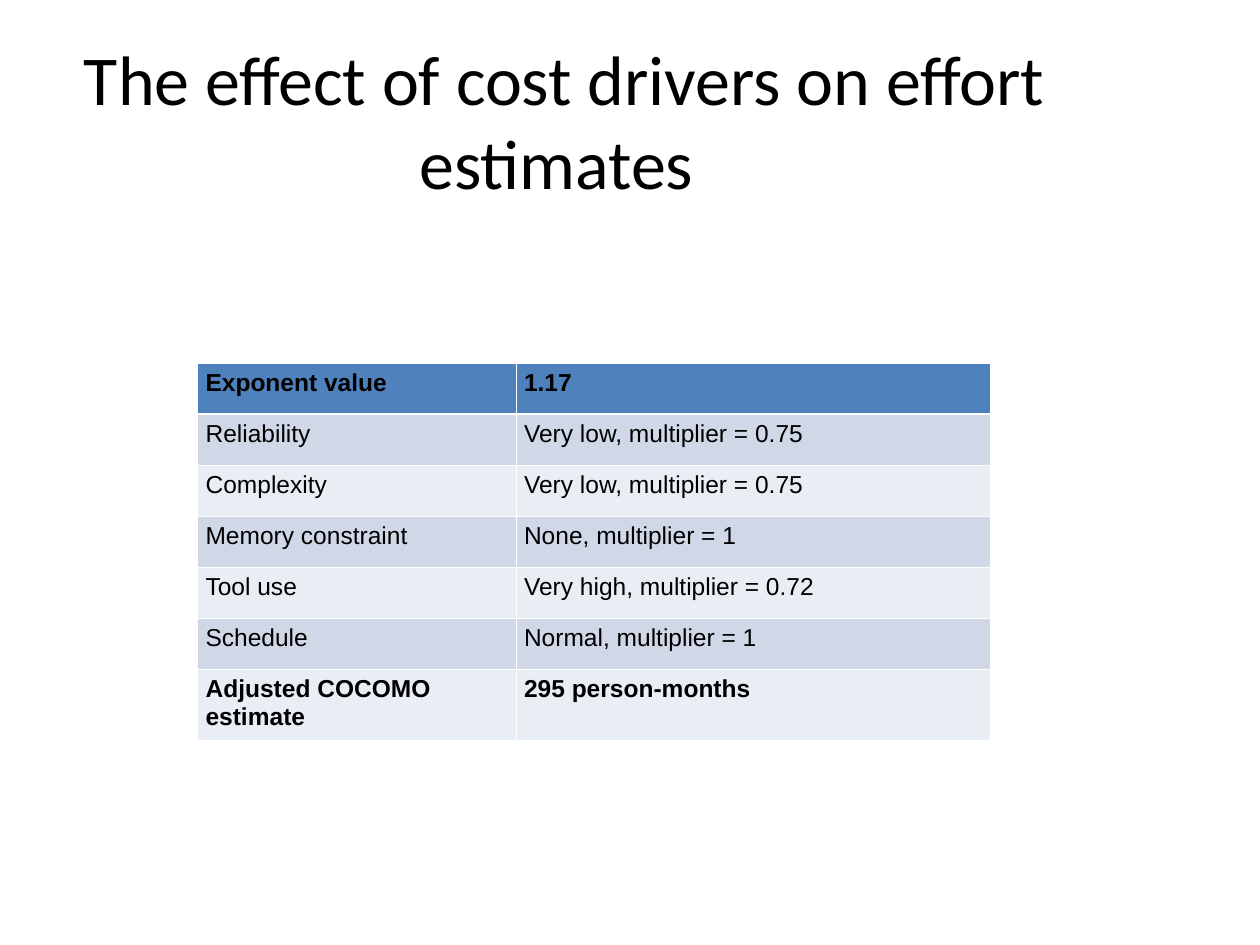
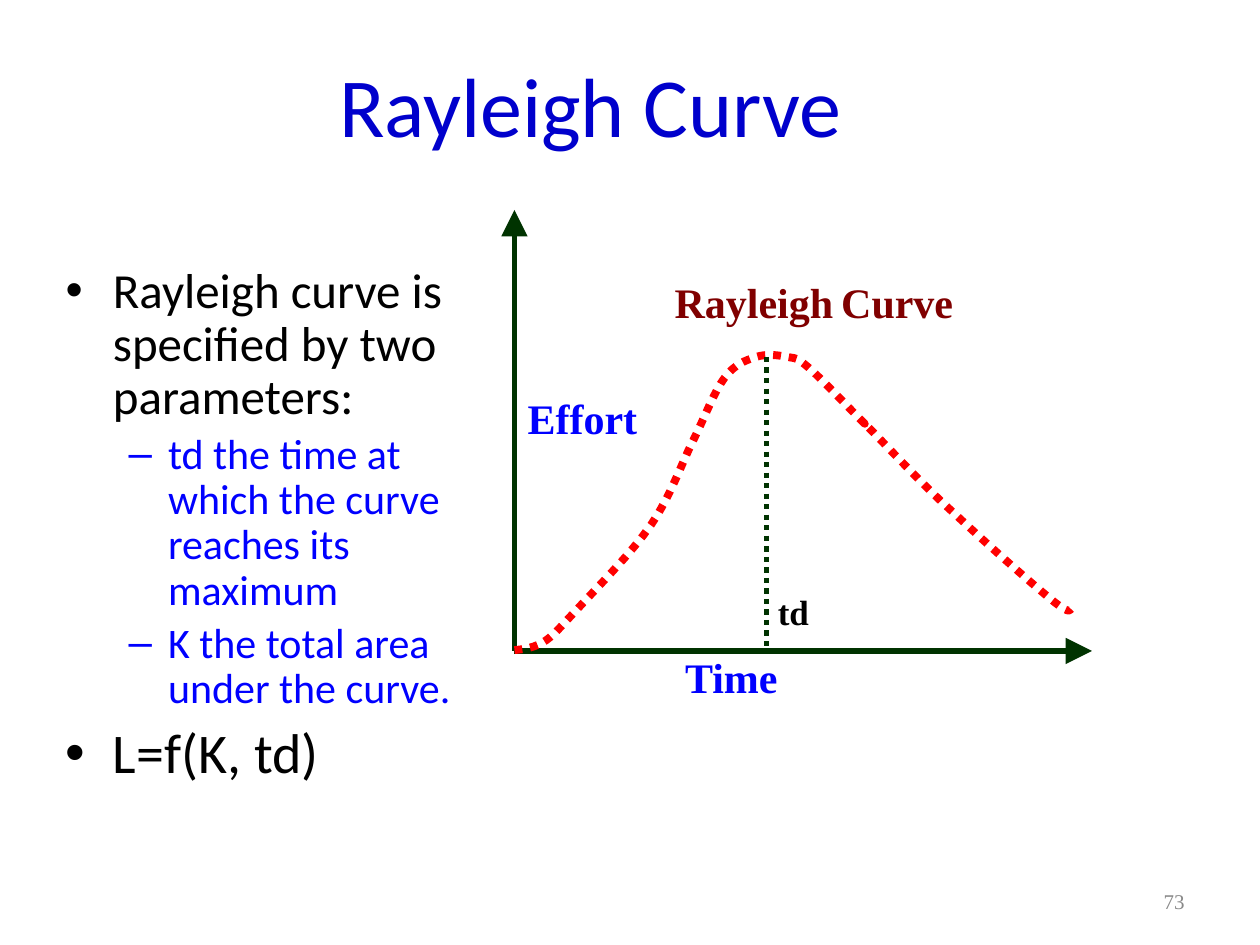
"""Build two slides on effort estimation: cost drivers and the Rayleigh curve."""
import pptx
import pptx.dml.color
import pptx.enum.dml
import pptx.enum.shapes
import pptx.enum.text
import pptx.oxml
import pptx.oxml.ns
import pptx.util

Pt = pptx.util.Pt
ALIGN = pptx.enum.text.PP_ALIGN
ANCHOR = pptx.enum.text.MSO_ANCHOR
DOTTED = pptx.enum.dml.MSO_LINE.ROUND_DOT

COLOURS = {
    "black": "000000", "white": "FFFFFF", "header": "4F81BD",
    "odd_row": "D0D8E8", "even_row": "E9EDF4", "title_blue": "0000CC",
    "blue": "0000FF", "maroon": "800000", "green": "003300",
    "red": "FF0000", "grey": "898989",
}
SLIM_FRAME = {"margin_left": Pt(1.5), "margin_right": Pt(1.5)}
LABEL_FONT = {"name": "Times New Roman", "size": Pt(24), "bold": True}

COST_DRIVERS = [
    ("Exponent value", "1.17"),
    ("Reliability", "Very low, multiplier = 0.75"),
    ("Complexity", "Very low, multiplier = 0.75"),
    ("Memory constraint", "None, multiplier = 1"),
    ("Tool use", "Very high, multiplier = 0.72"),
    ("Schedule", "Normal, multiplier = 1"),
    ("Adjusted COCOMO estimate", "295 person-months"),
]
PARAMETERS = [
    ("Rayleigh curve is specified by two parameters:", 0, 28, 5.2),
    ("td the time at which the curve reaches its maximum", 1, 24, 4.5),
    ("K the total area under the curve.", 1, 24, 4.5),
    ("L=f(K, td)", 0, 32, 7.1),
]
BULLETS = [("•", "black", 27, -27), ("–", "blue", 58.5, -22.5)]

ORIGIN_X, ORIGIN_Y = 294, 372
PEAK_X, PEAK_Y = 438, 204
CURVE_START = (ORIGIN_X, 371.5)
CURVE_SEGMENTS = [
    ((300, 371), (306, 370), (312, 366)),
    ((318, 361.5), (320, 358.5), (330, 348)),
    ((340, 337), (361, 316), (372, 300)),
    ((383, 284), (389, 266), (396, 252)),
    ((403, 238), (408, 224), (414, 216)),
    ((420, 208), (426, 206), (432, 204)),
    ((438, 202), (445, 203), (450, 204)),
    ((455, 205), (455, 204), (462, 210)),
    ((469, 216), (486, 234), (492, 240)),
    ((498, 246), (489, 237), (498, 246)),
    ((507, 255), (528, 278), (546, 294)),
    ((563, 310), (589, 333), (600, 342)),
    ((611, 351), (611, 349), (612, 348)),
]


def colour(name):
    """Return the named colour."""
    return pptx.dml.color.RGBColor.from_string(COLOURS[name])


def apply(target, values):
    """Set each attribute in values on the target."""
    for name, value in values.items():
        setattr(target, name, value)


def add_xml(parent, markup):
    """Append a piece of DrawingML to the parent element."""
    head, rest = markup.split(" ", 1)
    namespace = pptx.oxml.ns.nsdecls("a")
    parent.append(pptx.oxml.parse_xml(f"{head} {namespace} {rest}"))


def add_span(para, text, font, colour_name):
    """Add a formatted run to a paragraph."""
    span = para.add_run()
    span.text = text
    apply(span.font, font)
    span.font.color.rgb = colour(colour_name)


def set_title(page, text, place, size, colour_name, frame_format, space_before=0):
    """Place and format the title of a slide."""
    title = page.shapes.title
    apply(title, dict(zip(("left", "top", "width", "height"), map(Pt, place))))
    frame = title.text_frame
    apply(frame, {"auto_size": pptx.enum.text.MSO_AUTO_SIZE.NONE, "word_wrap": True,
                  "vertical_anchor": ANCHOR.MIDDLE, **frame_format})
    para = frame.paragraphs[0]
    apply(para, {"alignment": ALIGN.CENTER, "space_before": Pt(space_before)})
    add_span(para, text, {"name": "Calibri", "size": Pt(size)}, colour_name)


def add_box(page, place, frame_format):
    """Add a wrapping text box and return its frame."""
    box = page.shapes.add_textbox(*map(Pt, place))
    apply(box.text_frame, {"word_wrap": True, **frame_format})
    return box.text_frame


def add_label(page, place, spans, colour_name, space_before):
    """Add a chart label made of text and size pairs."""
    para = add_box(page, place, SLIM_FRAME).paragraphs[0]
    apply(para, {"line_spacing": 0.72, "space_before": Pt(space_before)})
    for text, size in spans:
        add_span(para, text, {**LABEL_FONT, "size": Pt(size)}, colour_name)


def add_bullets(page, place, items):
    """Add a two-level bulleted list."""
    frame = add_box(page, place, SLIM_FRAME)
    for index, (text, level, size, space_before) in enumerate(items):
        para = frame.add_paragraph() if index else frame.paragraphs[0]
        mark, colour_name, margin, indent = BULLETS[level]
        apply(para, {"level": level, "line_spacing": 0.9, "space_before": Pt(space_before)})
        properties = para._p.get_or_add_pPr()
        properties.set("marL", str(Pt(margin)))
        properties.set("indent", str(Pt(indent)))
        add_xml(properties, f'<a:buClr ><a:srgbClr val="{COLOURS[colour_name]}"/></a:buClr>')
        add_xml(properties, '<a:buFont typeface="Arial"/>')
        add_xml(properties, f'<a:buChar char="{mark}"/>')
        add_span(para, text, {"name": "Calibri", "size": Pt(size)}, colour_name)


def set_borders(cell, is_header, below_header):
    """Draw white cell borders, thicker under the header row."""
    properties = cell._tc.get_or_add_tcPr()
    thick = {"T": below_header, "B": is_header}
    for position, side in enumerate("LRTB"):
        width = Pt(1.5 if thick.get(side) else 0.45)
        markup = (f'<a:ln{side} w="{width}"><a:solidFill><a:srgbClr '
                  f'val="{COLOURS["white"]}"/></a:solidFill></a:ln{side}>')
        add_xml(properties, markup)
        properties.insert(position, properties[-1])


def add_driver_table(page, place, widths, heights):
    """Add the table of cost drivers."""
    table = page.shapes.add_table(len(heights), len(widths), *map(Pt, place)).table
    apply(table, {"first_row": False, "horz_banding": False})
    for column, width in zip(table.columns, widths):
        column.width = Pt(width)
    last = len(heights) - 1
    for r, (texts, height) in enumerate(zip(COST_DRIVERS, heights)):
        table.rows[r].height = Pt(height)
        fill = "header" if r == 0 else "odd_row" if r % 2 else "even_row"
        for c, text in enumerate(texts):
            cell = table.cell(r, c)
            apply(cell, {"margin_left": Pt(4.5), "margin_right": Pt(4.5),
                         "margin_top": Pt(3.6), "margin_bottom": Pt(3.6)})
            cell.fill.solid()
            cell.fill.fore_color.rgb = colour(fill)
            set_borders(cell, r == 0, r == 1)
            para = cell.text_frame.paragraphs[0]
            apply(para, {"alignment": ALIGN.JUSTIFY if c else ALIGN.LEFT, "space_after": Pt(3)})
            font = {"name": "Arial", "size": Pt(14), "bold": r in (0, last)}
            add_span(para, text, font, "black")


def set_line(shape, colour_name, width, dash=None):
    """Format the line of a shape or connector."""
    shape.line.color.rgb = colour(colour_name)
    apply(shape.line, {"width": Pt(width), "dash_style": dash})


def add_line(page, start, end, dash=None, arrow=None):
    """Add a green line, with an optional arrowhead at headEnd or tailEnd."""
    line = page.shapes.add_connector(
        pptx.enum.shapes.MSO_CONNECTOR.STRAIGHT, *map(Pt, start + end))
    set_line(line, "green", 3, dash)
    if arrow:
        add_xml(line.line._get_or_add_ln(), f'<a:{arrow} type="triangle" w="lg" len="lg"/>')
    add_xml(line._element.spPr, "<a:effectLst />")


def bezier_points(start, segments, steps=8):
    """Return points along joined cubic curves."""
    points = []
    for first, second, end in segments:
        for step in range(1, steps + 1):
            t = step / steps
            weights = ((1 - t) ** 3, 3 * t * (1 - t) ** 2, 3 * t * t * (1 - t), t ** 3)
            corners = (start, first, second, end)
            points.append(tuple(
                Pt(sum(w * corner[axis] for w, corner in zip(weights, corners)))
                for axis in (0, 1)))
        start = end
    return points


def add_curve(page):
    """Add the dotted Rayleigh curve."""
    builder = page.shapes.build_freeform(*map(Pt, CURVE_START))
    builder.add_line_segments(bezier_points(CURVE_START, CURVE_SEGMENTS), close=False)
    curve = builder.convert_to_shape()
    curve.shadow.inherit = False
    curve.fill.background()
    set_line(curve, "red", 4.5, DOTTED)


def add_page_number(page, number):
    """Add the page number at the lower right."""
    frame = add_box(page, (516, 500.4, 168, 28.8), {"vertical_anchor": ANCHOR.MIDDLE})
    para = frame.paragraphs[0]
    para.alignment = ALIGN.RIGHT
    add_span(para, number, {"name": "Times New Roman", "size": Pt(12)}, "grey")


def build_cost_drivers(page):
    """Fill the cost driver slide."""
    set_title(page, "The effect of cost drivers on effort estimates ",
              (36, 24, 573, 88.5), 40, "black", {})
    add_driver_table(page, (113, 207.5, 453, 216), (182, 271), [29.15] * 6 + [41])


def build_rayleigh_curve(page):
    """Fill the Rayleigh curve slide."""
    set_title(page, "Rayleigh Curve", (31.5, 14.5, 612, 90), 48, "title_blue", SLIM_FRAME, 12)
    add_bullets(page, (36, 148.5, 240, 328), PARAMETERS)
    add_page_number(page, "73")
    origin = (ORIGIN_X, ORIGIN_Y)
    add_line(page, (ORIGIN_X, 120), origin, arrow="headEnd")
    add_line(page, origin, (624, ORIGIN_Y), arrow="tailEnd")
    add_curve(page)
    add_label(page, (ORIGIN_X + 6, 228, 77, 36), [("Effort", 24)], "blue", 5.4)
    add_label(page, (390, ORIGIN_Y + 4, 144, 36), [("Time", 24)], "blue", 13.6)
    add_line(page, (PEAK_X, PEAK_Y), (PEAK_X, ORIGIN_Y), dash=DOTTED)
    add_label(page, (PEAK_X + 5, 340, 42, 31), [("td", 20)], "black", 11.4)
    add_label(page, (384, 162, 252, 36),
              [("Rayleigh", 24), (" ", 18), ("Curve", 24)], "maroon", 13.6)


def main():
    """Build and save the deck."""
    deck = pptx.Presentation()
    apply(deck, {"slide_width": Pt(720), "slide_height": Pt(540)})
    for build in (build_cost_drivers, build_rayleigh_curve):
        build(deck.slides.add_slide(deck.slide_layouts.get_by_name("Title Only")))
    deck.save("out.pptx")


if __name__ == "__main__":
    main()
